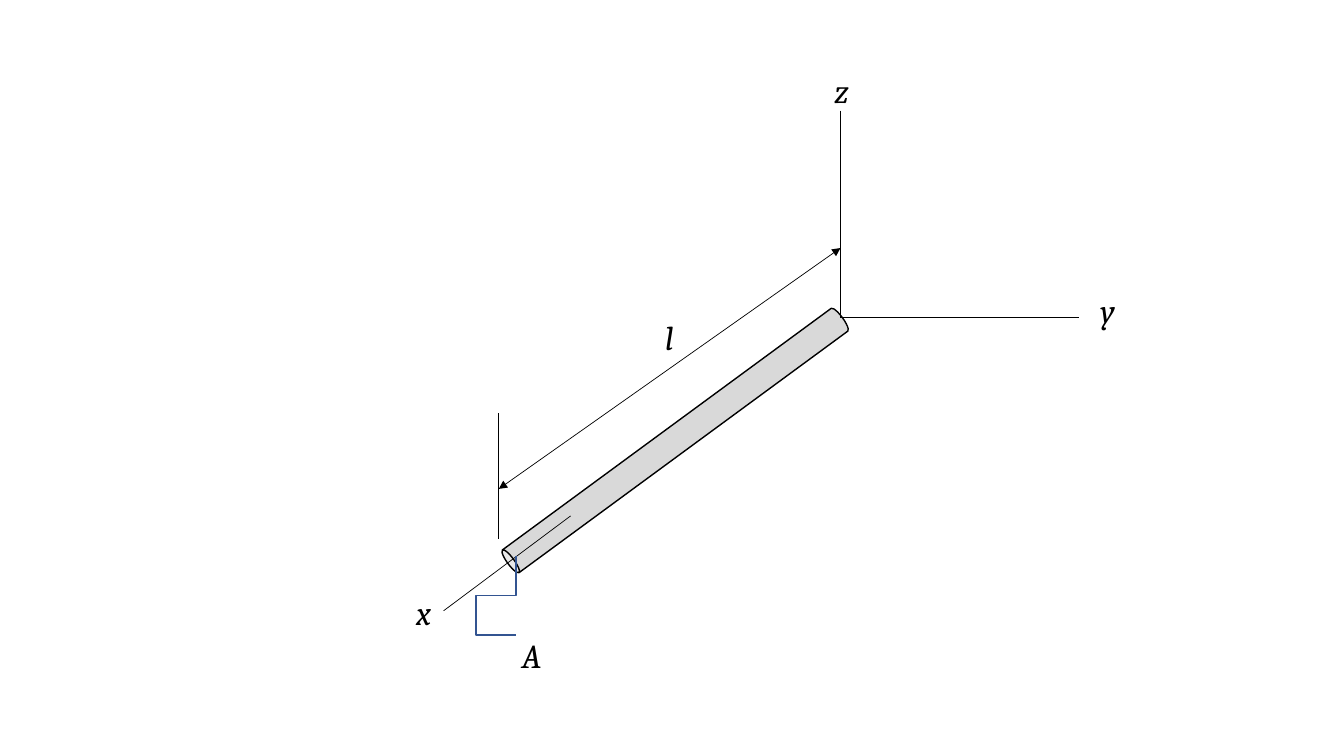
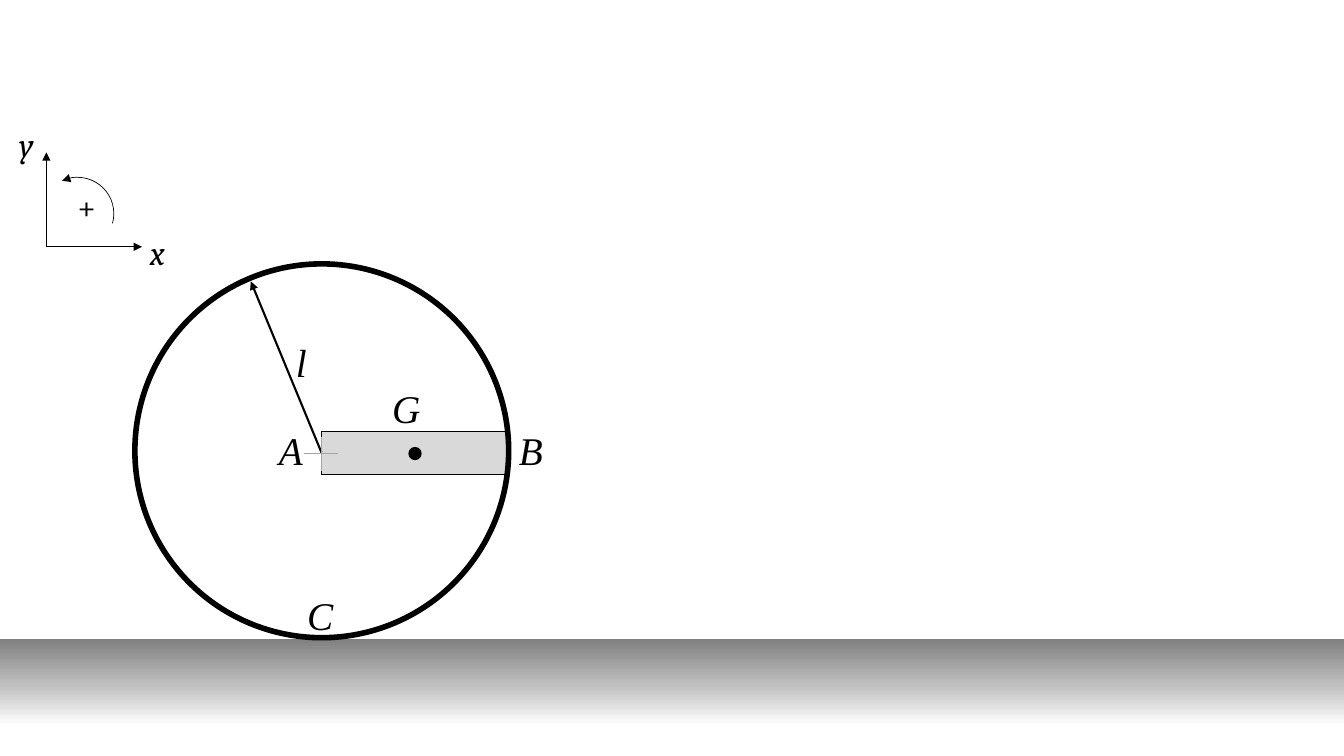
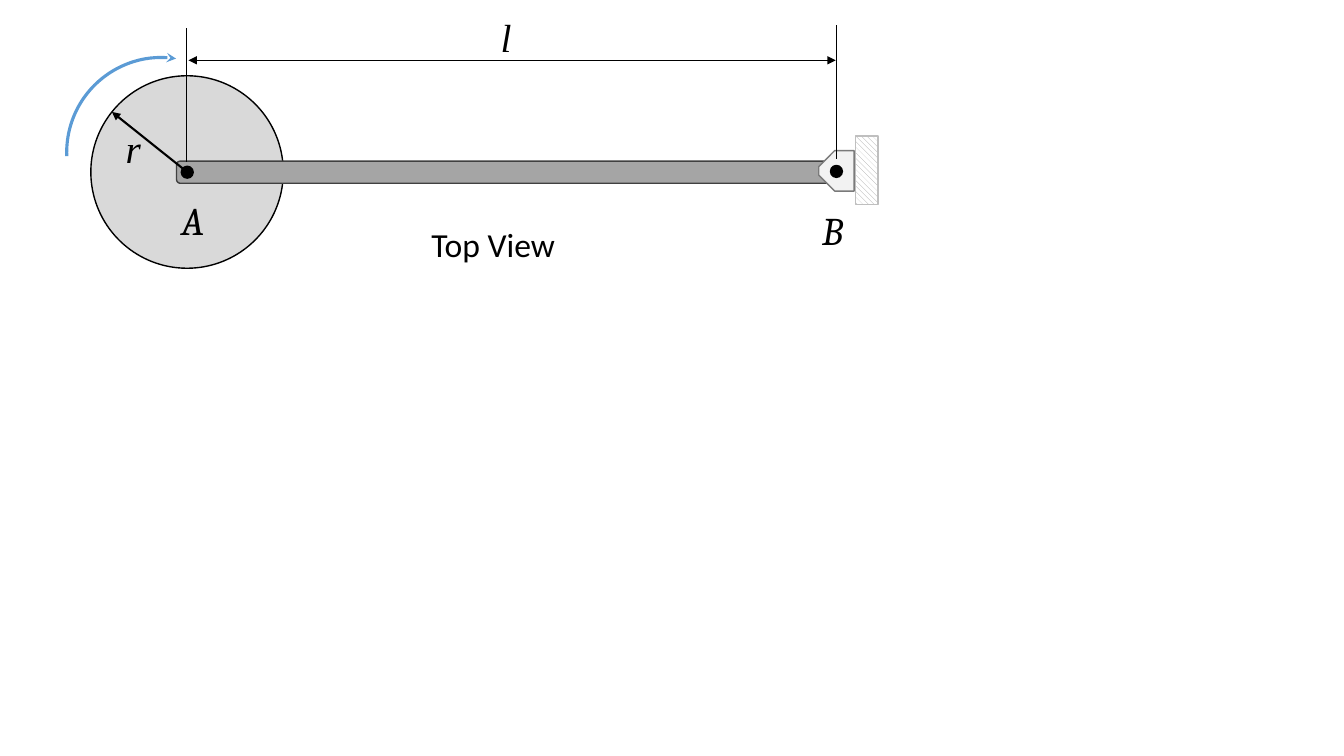
from copy import deepcopy
from dataclasses import dataclass

from lxml.etree import SubElement
from pptx import Presentation
from pptx.dml.color import RGBColor
from pptx.enum.dml import MSO_PATTERN
from pptx.enum.shapes import MSO_CONNECTOR, MSO_SHAPE as Preset
from pptx.oxml.ns import qn
from pptx.util import Cm, Pt


@dataclass(frozen=True)
class Theme:
    ink: str = "000000"
    metal: str = "D9D9D9"
    rod: str = "A5A5A5"
    rod_edge: str = "404040"
    bracket: str = "F2F2F2"
    bracket_edge: str = "7A7A7A"
    wall_edge: str = "BFBFBF"
    paper: str = "FFFFFF"
    leader: str = "325491"
    turn: str = "5B9BD5"
    ground: tuple = ((0, "808080"), (0.53, "BFBFBF"), (1, "FFFFFF"))
    math_font: str = "Cambria"
    serif_font: str = "Times New Roman"
    sans_font: str = "Calibri"
    small: int = 24
    large: int = 28
    thin: float = 0.5
    normal: float = 1
    arrow: float = 1.5
    bold_arrow: float = 2.25
    rim: float = 4


theme = Theme()


def style(shape, fill=None, line=theme.ink, width=theme.normal, head=None, tail=None):
    if hasattr(shape, "fill"):
        if fill:
            shape.fill.solid()
            shape.fill.fore_color.rgb = RGBColor.from_string(fill)
        else:
            shape.fill.background()
    if line:
        shape.line.color.rgb = RGBColor.from_string(line)
        shape.line.width = Pt(width)
    else:
        shape.line.fill.background()
    properties = shape.element.spPr
    for tag, arrowhead in (("a:headEnd", head), ("a:tailEnd", tail)):
        if arrowhead:
            SubElement(properties.get_or_add_ln(), qn(tag), type=arrowhead)
    SubElement(properties, qn("a:effectLst"))
    return shape


def write(page, text, left, top, width=2.34, height=1.27,
          font=theme.math_font, size=theme.small, italic=True):
    box = page.shapes.add_textbox(Cm(left), Cm(top), Cm(width), Cm(height))
    box.text_frame.word_wrap = True
    span = box.text_frame.paragraphs[0].add_run()
    span.text = text
    span.font.name = font
    span.font.size = Pt(size)
    span.font.italic = italic
    span.font.color.rgb = RGBColor.from_string(theme.ink)


deck = Presentation()
deck.slide_width, deck.slide_height = Cm(33.87), Cm(19.05)
rod_page, wheel_page, top_page = [deck.slides.add_slide(deck.slide_layouts[6]) for _ in range(3)]

shapes = rod_page.shapes
rod = style(shapes.add_shape(Preset.CAN, *map(Cm, (16.66, 5.87, 0.71, 10.46))), theme.metal)
rod.rotation = 233.7

for ends, arrowhead in (
    ((21.18, 2.79, 21.18, 8), None),
    ((27.18, 8, 21.18, 8), None),
    ((11.18, 15.39, 14.38, 13), None),
    ((12.57, 10.41, 12.57, 13.59), None),
    ((12.57, 12.32, 21.18, 6.25), "triangle"),
):
    style(shapes.add_connector(MSO_CONNECTOR.STRAIGHT, *map(Cm, ends)),
          width=theme.thin, head=arrowhead, tail=arrowhead)

for text, left, top in (
    ("z", 20.78, 1.63), ("y", 27.48, 7.19), ("x", 10.24, 14.78),
    ("l", 16.51, 7.85), ("A", 12.9, 15.88),
):
    write(rod_page, text, left, top)

leader_curves = (
    ((13.21, 16.36), (12.85, 16.13), (12.52, 15.88), (12.47, 15.52)),
    ((12.47, 15.52), (12.45, 15.16), (12.67, 14.71), (12.93, 14.25)),
)
steps = 16
leader_points = [
    tuple((1 - t) ** 3 * a + 3 * (1 - t) ** 2 * t * b + 3 * (1 - t) * t ** 2 * c + t ** 3 * d
          for a, b, c, d in zip(*curve))
    for curve in leader_curves
    for t in (step / steps for step in range(1, steps + 1))
]
builder = shapes.build_freeform(*leader_curves[0][0], scale=Cm(1))
builder.add_line_segments(leader_points, close=False)
style(builder.convert_to_shape(), line=theme.leader)

shapes = wheel_page.shapes
ground = style(shapes.add_shape(Preset.RECTANGLE, *map(Cm, (0, 16.1, 33.87, 2.18))), line=None)
ground.fill.gradient()
ground.fill.gradient_angle = 270
stop_list = ground.element.spPr.find(qn("a:gradFill")).find(qn("a:gsLst"))
stop_list.append(deepcopy(stop_list[-1]))
for stop, (position, color) in zip(ground.fill.gradient_stops, theme.ground):
    stop.position = position
    stop.color.rgb = RGBColor.from_string(color)

for tip in ((3.58, 6.22), (1.17, 3.84)):
    style(shapes.add_connector(MSO_CONNECTOR.STRAIGHT, *map(Cm, (1.17, 6.22, *tip))),
          width=theme.thin, tail="triangle")
for text, left, top in (("y", 0.23, 3), ("x", 3.53, 5.72), ("+", 1.7, 4.57)):
    write(wheel_page, text, left, top, italic=text != "+")
positive_turn = style(shapes.add_shape(Preset.ARC, *map(Cm, (1.04, 4.47, 1.83, 1.83))),
                      width=theme.thin, head="triangle")
positive_turn.adjustments[0] = 146.93
positive_turn.adjustments[1] = 9.26

for preset, frame, fill, width in (
    (Preset.RECTANGLE, (8.1, 10.87, 4.72, 1.09), theme.metal, theme.normal),
    (Preset.OVAL, (3.4, 6.65, 9.42, 9.42), None, theme.rim),
    (Preset.OVAL, (10.31, 11.28, 0.3, 0.3), theme.ink, theme.normal),
):
    style(shapes.add_shape(preset, *map(Cm, frame)), fill, width=width)

for text, left, top in (
    ("G", 9.63, 9.55), ("A", 6.78, 10.62), ("B", 12.83, 10.62),
    ("C", 7.49, 14.78), ("l", 7.21, 8.41),
):
    write(wheel_page, text, left, top, 1.27, 1.22, font=theme.serif_font, size=theme.large)

for ends, color, width, arrowhead in (
    ((8.1, 11.4, 6.32, 7.09), theme.ink, theme.arrow, "triangle"),
    ((7.65, 11.43, 8.51, 11.43), theme.rod, theme.thin, None),
    ((8.1, 11.86, 8.1, 11), theme.rod, theme.thin, None),
):
    style(shapes.add_connector(MSO_CONNECTOR.STRAIGHT, *map(Cm, ends)),
          line=color, width=width, tail=arrowhead)

shapes = top_page.shapes
disc, arm, pin_a, bracket, wall, pin_b = [
    style(shapes.add_shape(preset, *map(Cm, frame)), fill, line)
    for preset, frame, fill, line in (
        (Preset.OVAL, (2.29, 1.91, 4.85, 4.85), theme.metal, theme.ink),
        (Preset.ROUNDED_RECTANGLE, (4.45, 4.06, 16.54, 0.56), theme.rod, theme.rod_edge),
        (Preset.OVAL, (4.57, 4.19, 0.3, 0.3), theme.ink, theme.ink),
        (Preset.SNIP_2_SAME_RECTANGLE, (20.57, 3.86, 1.02, 0.89),
         theme.bracket, theme.bracket_edge),
        (Preset.RECTANGLE, (20.98, 4.01, 1.73, 0.56), theme.paper, theme.wall_edge),
        (Preset.OVAL, (20.93, 4.17, 0.3, 0.3), theme.ink, theme.ink),
    )
]
bracket.adjustments[0] = 0.45
bracket.adjustments[1] = 0
bracket.rotation = wall.rotation = 270
wall.fill.patterned()
wall.fill.pattern = MSO_PATTERN.WIDE_DOWNWARD_DIAGONAL
wall.fill.fore_color.rgb = RGBColor.from_string(theme.rod)
wall.fill.back_color.rgb = RGBColor.from_string(theme.paper)

turn = style(shapes.add_shape(Preset.ARC, *map(Cm, (1.68, 1.45, 4.78, 4.78))),
             line=theme.turn, width=theme.bold_arrow, head="stealth")
turn.adjustments[0] = 142.02
turn.adjustments[1] = 202.67
turn.rotation = 155.5
turn.element.spPr.find(qn("a:xfrm")).set("flipV", "1")

for ends, width, head, tail in (
    ((4.6, 4.24, 2.82, 2.82), theme.arrow, None, "triangle"),
    ((21.06, 1.52, 4.75, 1.52), theme.thin, "triangle", "triangle"),
    ((4.7, 0.71, 4.7, 4.09), theme.thin, None, None),
    ((21.08, 0.64, 21.08, 4.01), theme.thin, None, None),
):
    style(shapes.add_connector(MSO_CONNECTOR.STRAIGHT, *map(Cm, ends)),
          width=width, head=head, tail=tail)

for text, left, top in (("A", 4.32, 4.83), ("B", 20.47, 5.08)):
    write(top_page, text, left, top, height=1.45, size=theme.large)
for text, left, top in (("r", 2.92, 3.02), ("l", 12.37, 0.2)):
    write(top_page, text, left, top, 3.56, 1.22, font=theme.serif_font, size=theme.large)
write(top_page, "Top View", 10.62, 5.51, 5.56, 1.22, font=theme.sans_font, italic=False)

deck.save("out.pptx")
